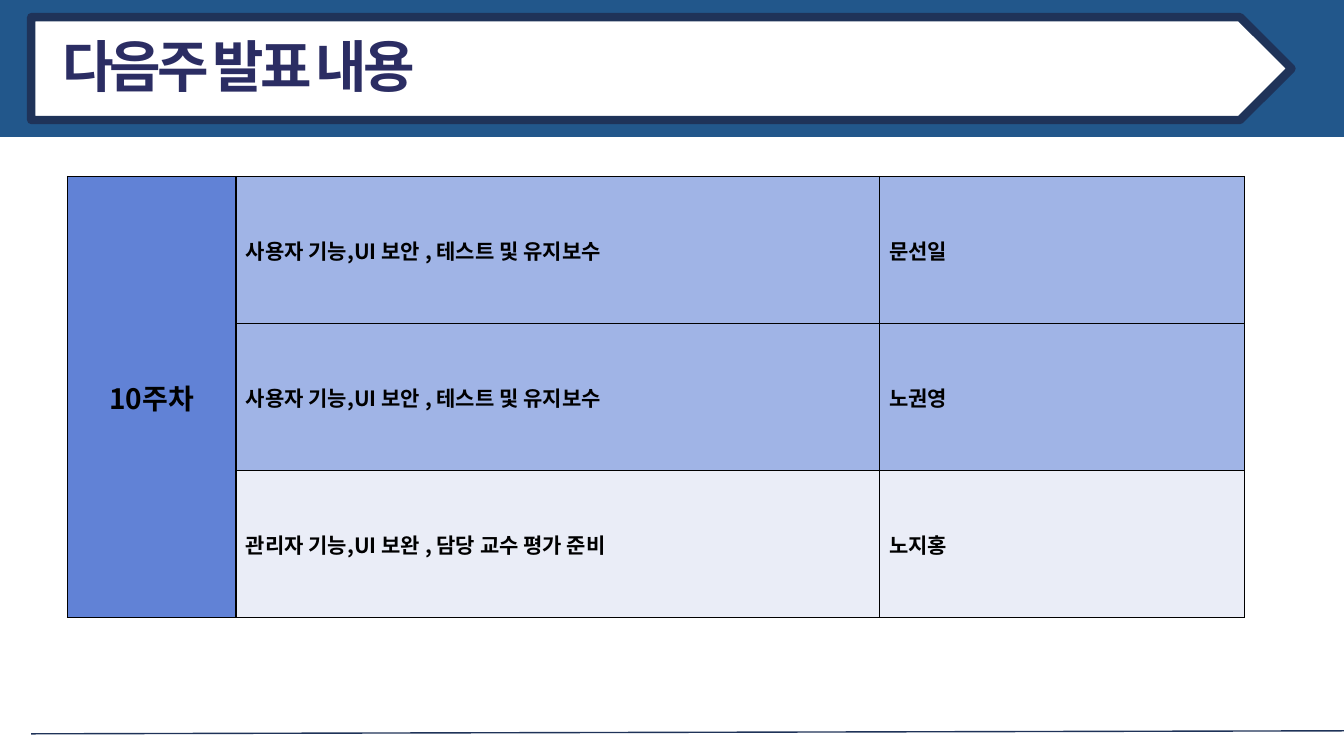
"""Build the slide that lists next week's presentation topics."""
from dataclasses import dataclass

from lxml import etree
from pptx import Presentation
from pptx import util as u
from pptx.dml.color import RGBColor
from pptx.enum import shapes, text
from pptx.oxml import ns


@dataclass(frozen=True)
class Theme:
    font: str = "Noto Sans CJK KR"
    band: str = "22578B"
    navy: str = "1F3359"
    title: str = "2B2D63"
    white: str = "FFFFFF"
    black: str = "000000"
    week: str = "6182D6"
    user: str = "A0B4E6"
    admin: str = "EAEDF7"
    title_pt: int = 40
    week_pt: int = 20
    body_pt: int = 15


@dataclass(frozen=True)
class Box:
    left: float
    top: float
    width: float
    height: float

    def emu(self) -> list:
        return [u.Inches(v) for v in (self.left, self.top, self.width, self.height)]


@dataclass(frozen=True)
class Task:
    topic: str
    name: str
    fill: str


THEME = Theme()
WEEK = "10주차"
TASKS = [
    Task("사용자 기능,UI 보안 , 테스트 및 유지보수", "문선일", THEME.user),
    Task("사용자 기능,UI 보안 , 테스트 및 유지보수", "노권영", THEME.user),
    Task("관리자 기능,UI 보완 , 담당 교수 평가 준비", "노지홍", THEME.admin),
]
COLS = [1.67, 6.38, 3.62]
ROW = 1.46


def rgb(code: str) -> RGBColor:
    return RGBColor.from_string(code)


def style(frame, size: int, color: str, align=text.PP_ALIGN.LEFT, space: int = 0) -> None:
    para = frame.paragraphs[0]
    para.alignment = align
    for run in para.runs:
        font = run.font
        font.name, font.size, font.bold = THEME.font, u.Pt(size), True
        font.color.rgb = rgb(color)
        props = run.font._element if hasattr(run.font, "_element") else run._r.get_or_add_rPr()
        etree.SubElement(props, ns.qn("a:ea"), typeface=THEME.font)
        if space:
            props.set("spc", str(space * 100))


def add_box(slide, kind, box: Box, fill: str):
    shape = slide.shapes.add_shape(kind, *box.emu())
    shape.shadow.inherit = False
    shape.fill.solid()
    shape.fill.fore_color.rgb = rgb(fill)
    shape.line.fill.background()
    return shape


def add_head(slide) -> None:
    add_box(slide, shapes.MSO_SHAPE.RECTANGLE, Box(0, 0, 13.33, 1.36), THEME.band)
    arrow = add_box(slide, shapes.MSO_SHAPE.PENTAGON, Box(0.31, 0.17, 12.5, 1.02), THEME.white)
    arrow.adjustments[0] = 0.5
    arrow.line.color.rgb = rgb(THEME.navy)
    arrow.line.width = u.Pt(6)

    title = slide.shapes.title
    slide.shapes.element.append(title.element)
    title.left, title.top, title.width, title.height = Box(0.52, 0.27, 3.94, 0.76).emu()
    frame = title.text_frame
    frame.text = "다음주 발표 내용"
    frame.word_wrap = False
    frame.auto_size = text.MSO_AUTO_SIZE.SHAPE_TO_FIT_TEXT
    frame.vertical_anchor = text.MSO_ANCHOR.MIDDLE
    style(frame, THEME.title_pt, THEME.title, space=-3)


def add_rule(slide) -> None:
    ends = [u.Inches(v) for v in (0.31, 7.28, 13.33, 7.25)]
    rule = slide.shapes.add_connector(shapes.MSO_CONNECTOR.STRAIGHT, *ends)
    rule.line.color.rgb = rgb(THEME.navy)
    rule.line.width = u.Pt(1)
    etree.SubElement(rule.element.spPr, ns.qn("a:effectLst"))


def paint(cell, fill: str) -> None:
    props = cell._tc.get_or_add_tcPr()
    for side in ("lnL", "lnR", "lnT", "lnB"):
        edge = etree.SubElement(props, ns.qn(f"a:{side}"), w=str(u.Pt(1)))
        solid = etree.SubElement(edge, ns.qn("a:solidFill"))
        etree.SubElement(solid, ns.qn("a:srgbClr"), val=THEME.black)
    cell.fill.solid()
    cell.fill.fore_color.rgb = rgb(fill)
    cell.vertical_anchor = text.MSO_ANCHOR.MIDDLE


def add_plan(slide) -> None:
    box = Box(0.67, 1.75, sum(COLS), ROW * len(TASKS))
    table = slide.shapes.add_table(len(TASKS), len(COLS), *box.emu()).table
    table.first_row = table.horz_banding = False
    for col, width in zip(table.columns, COLS):
        col.width = u.Inches(width)
    for r, task in enumerate(TASKS):
        table.rows[r].height = u.Inches(ROW)
        paint(table.cell(r, 0), THEME.week)
        for c, words in enumerate((task.topic, task.name), start=1):
            cell = table.cell(r, c)
            paint(cell, task.fill)
            cell.text_frame.text = words
            style(cell.text_frame, THEME.body_pt, THEME.black)
    week = table.cell(0, 0)
    week.merge(table.cell(len(TASKS) - 1, 0))
    week.text_frame.text = WEEK
    style(week.text_frame, THEME.week_pt, THEME.black, text.PP_ALIGN.CENTER)


def main() -> None:
    deck = Presentation()
    deck.slide_width, deck.slide_height = u.Inches(13.33), u.Inches(7.5)
    slide = deck.slides.add_slide(deck.slide_layouts[5])
    add_head(slide)
    add_rule(slide)
    add_plan(slide)
    deck.save("out.pptx")


if __name__ == "__main__":
    main()
